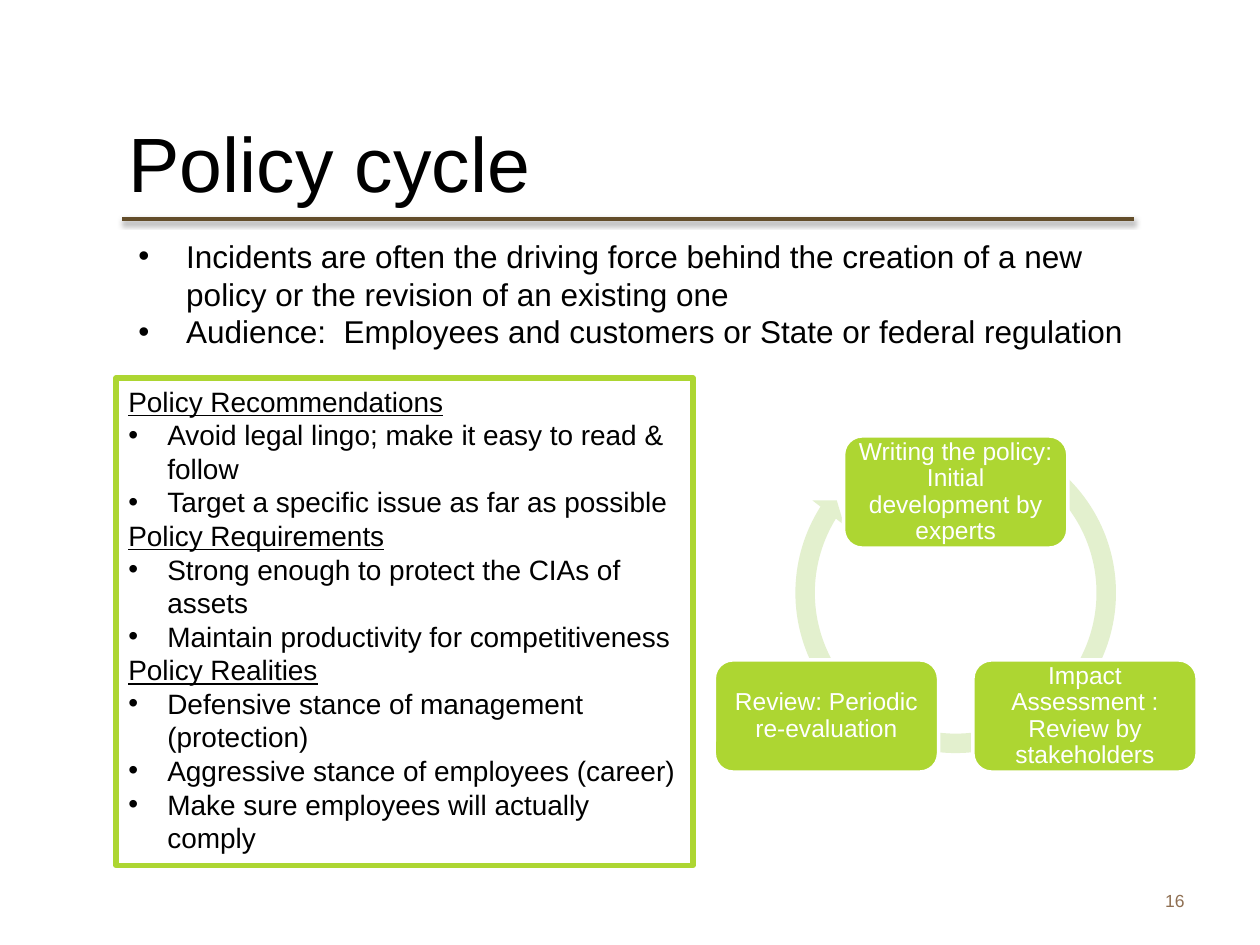
from math import cos, radians, sin

from lxml import etree
from pptx import Presentation
from pptx.dml.color import RGBColor
from pptx.enum.shapes import MSO_CONNECTOR, MSO_SHAPE
from pptx.enum.text import MSO_ANCHOR, PP_ALIGN
from pptx.oxml.ns import qn
from pptx.util import Inches, Pt

LINE = MSO_CONNECTOR.STRAIGHT
RECTANGLE = MSO_SHAPE.RECTANGLE
ROUNDED = MSO_SHAPE.ROUNDED_RECTANGLE
CIRCULAR_ARROW = MSO_SHAPE.CIRCULAR_ARROW
TOP, MIDDLE = MSO_ANCHOR.TOP, MSO_ANCHOR.MIDDLE
LEFT, CENTER, RIGHT = PP_ALIGN.LEFT, PP_ALIGN.CENTER, PP_ALIGN.RIGHT

BLACK = RGBColor(0x00, 0x00, 0x00)
WHITE = RGBColor(0xFF, 0xFF, 0xFF)
GREEN = RGBColor(0xAD, 0xD6, 0x32)
PALE_GREEN = RGBColor(0xE3, 0xF0, 0xCE)
BROWN = RGBColor(0x63, 0x4D, 0x2A)
TAN = RGBColor(0x8F, 0x6F, 0x52)

FONT = "Arial"
GRID_UNIT = Inches(0.1)

INTRODUCTION = [
    "Incidents are often the driving force behind the creation of a new "
    "policy or the revision of an existing one",
    "Audience:  Employees and customers or State or federal regulation",
]
GUIDANCE = {
    "Policy Recommendations": [
        "Avoid legal lingo; make it easy to read & follow",
        "Target a specific issue as far as possible",
    ],
    "Policy Requirements": [
        "Strong enough to protect the CIAs of assets",
        "Maintain productivity for competitiveness",
    ],
    "Policy Realities": [
        "Defensive stance of management (protection)",
        "Aggressive stance of employees (career)",
        "Make sure employees will actually comply",
    ],
}
STAGES = [
    "Writing the policy: Initial development by experts",
    "Impact Assessment : Review by stakeholders",
    "Review: Periodic re-evaluation",
]
CYCLE_CENTER = (75.85, 50.9)
CYCLE_RADIUS = 11.85
STAGE_SIZE = (17.8, 8.9)


def grid(*units):
    return [round(unit * GRID_UNIT) for unit in units]


def prepare_text(shape, anchor):
    frame = shape.text_frame
    frame.word_wrap = True
    frame.vertical_anchor = anchor
    return frame


def add_text_box(page, area, anchor=TOP):
    return prepare_text(page.shapes.add_textbox(*grid(*area)), anchor)


def add_shape(page, kind, area, fill=None, line=None, width=0):
    shape = page.shapes.add_shape(kind, *grid(*area))
    shape.shadow.inherit = False
    if fill is None:
        shape.fill.background()
    else:
        shape.fill.solid()
        shape.fill.fore_color.rgb = fill
    if line is None:
        shape.line.fill.background()
    else:
        shape.line.color.rgb = line
        shape.line.width = Pt(width)
    return shape


def add_paragraph(frame, text, size, color=BLACK, align=LEFT, underline=False):
    para = frame.paragraphs[0]
    if para.runs:
        para = frame.add_paragraph()
    para.alignment = align
    span = para.add_run()
    span.text = text
    span.font.name = FONT
    span.font.size = Pt(size)
    span.font.color.rgb = color
    span.font.underline = underline
    return para


def add_bullet(frame, text, size, indent):
    para = add_paragraph(frame, text, size)
    properties = para._p.get_or_add_pPr()
    properties.set("marL", str(Inches(indent)))
    properties.set("indent", str(-Inches(indent)))
    etree.SubElement(properties, qn("a:buFont"), typeface=FONT)
    etree.SubElement(properties, qn("a:buChar"), char="•")


def add_title_rule(page):
    rule = page.shapes.add_connector(LINE, *grid(9.7, 17.4, 90, 17.4))
    rule.line.color.rgb = BROWN
    rule.line.width = Pt(2)
    effects = etree.SubElement(rule._element.spPr, qn("a:effectLst"))
    shadow = etree.SubElement(
        effects, qn("a:outerShdw"), blurRad=str(Pt(3.1)), dist=str(Pt(1.6)),
        dir="5400000", rotWithShape="0")
    color = etree.SubElement(shadow, qn("a:srgbClr"), val=str(BLACK))
    etree.SubElement(color, qn("a:alpha"), val="38000")


def add_introduction(page):
    frame = add_text_box(page, (10, 18.3, 83.3, 49.2))
    for text in INTRODUCTION:
        add_bullet(frame, text, 18, 0.38)


def add_cycle(page):
    arrow = add_shape(page, CIRCULAR_ARROW, (62.3, 33.5, 27.1, 27.1), PALE_GREEN)
    for index, value in enumerate((0.057, 3.405, 127.299, 180.54, 0.059)):
        arrow.adjustments[index] = value
    width, height = STAGE_SIZE
    for index, text in enumerate(STAGES):
        angle = radians(index * 360 / len(STAGES))
        left = CYCLE_CENTER[0] + CYCLE_RADIUS * sin(angle) - width / 2
        top = CYCLE_CENTER[1] - CYCLE_RADIUS * cos(angle) - height / 2
        stage = add_shape(page, ROUNDED, (left, top, width, height), GREEN, WHITE, 2)
        frame = prepare_text(stage, MIDDLE)
        frame.margin_left = frame.margin_right = Inches(0.06)
        frame.margin_top = frame.margin_bottom = Inches(0.06)
        para = add_paragraph(frame, text, 14, WHITE, CENTER)
        para.line_spacing = 0.9


def add_guidance(page):
    box = add_shape(page, RECTANGLE, (9.2, 30, 45.8, 38.7), line=GREEN, width=3)
    frame = prepare_text(box, TOP)
    for heading, points in GUIDANCE.items():
        add_paragraph(frame, heading, 16, underline=True)
        for point in points:
            add_bullet(frame, point, 16, 0.31)


def main():
    deck = Presentation()
    deck.slide_width, deck.slide_height = grid(100, 75)
    page = deck.slides.add_slide(deck.slide_layouts[6])
    add_title_rule(page)
    number = add_text_box(page, (71.7, 69.5, 23.3, 4), MIDDLE)
    add_paragraph(number, "16", 10, TAN, RIGHT)
    title = add_text_box(page, (9.2, 8.2, 48.5, 9.3), MIDDLE)
    add_paragraph(title, "Policy cycle", 44)
    add_introduction(page)
    add_cycle(page)
    add_guidance(page)
    deck.save("out.pptx")


if __name__ == "__main__":
    main()
